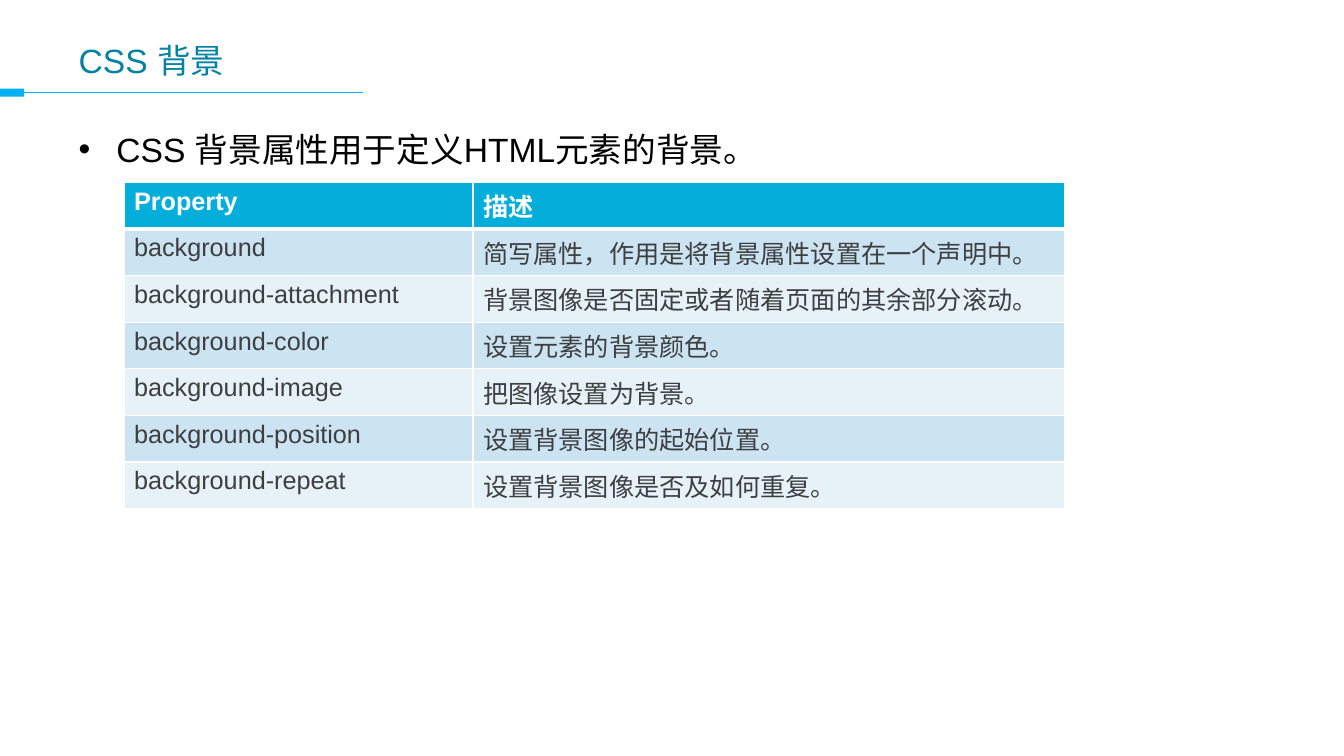
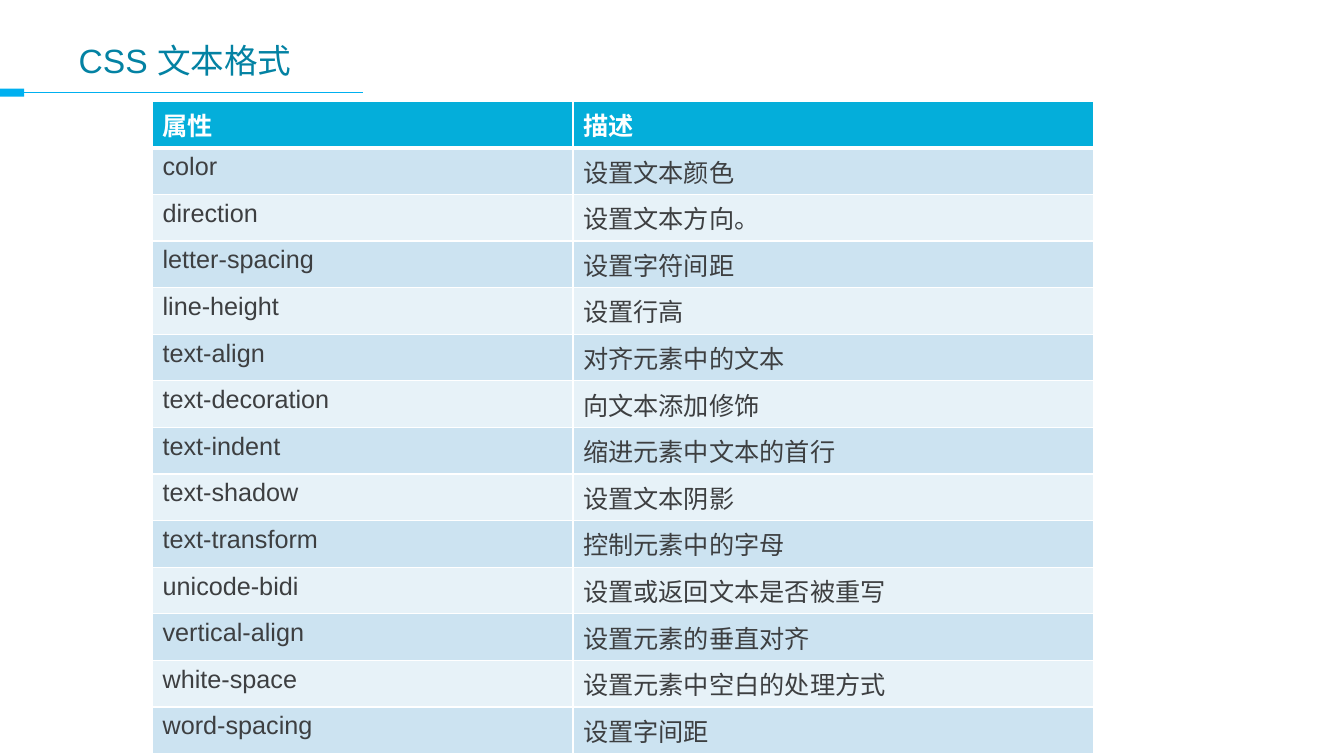
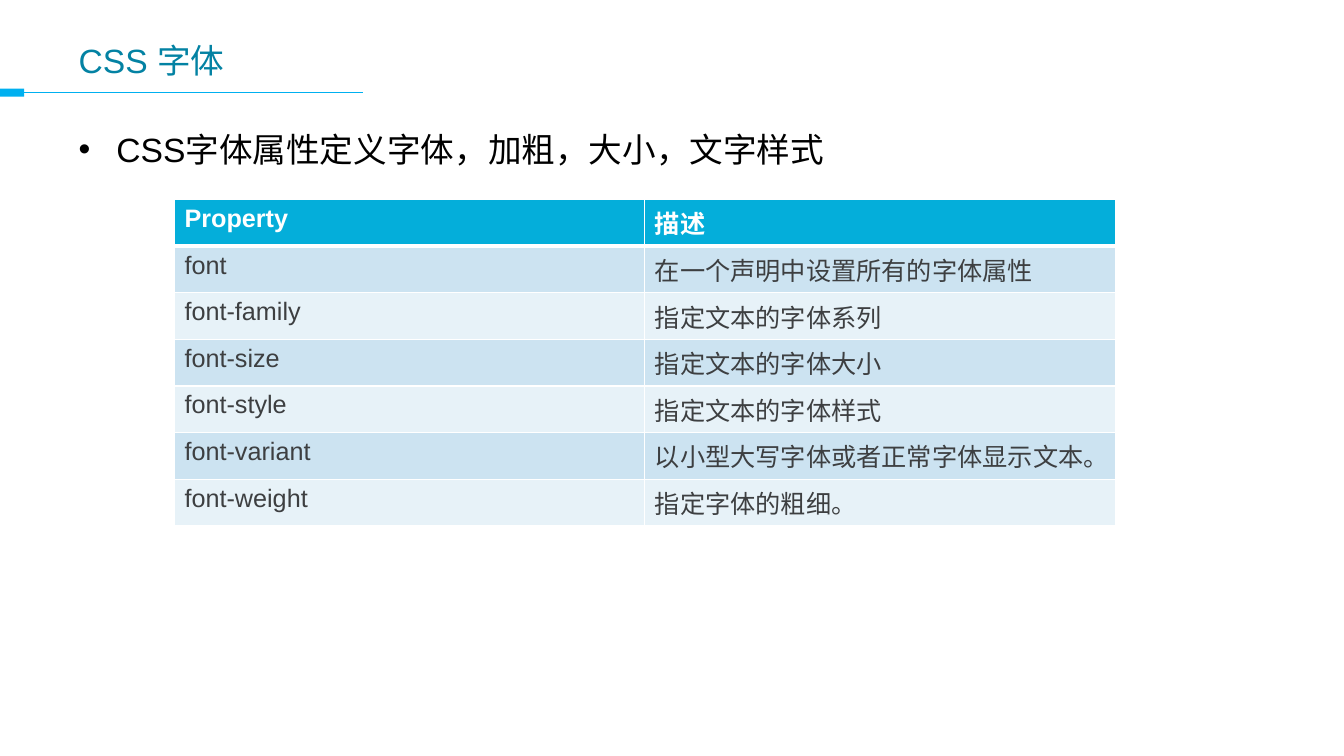
"""Build three slides on CSS background, text and font properties."""
from lxml import etree
from pptx import Presentation
from pptx.dml.color import RGBColor
from pptx.enum.shapes import MSO_CONNECTOR, MSO_SHAPE
from pptx.enum.text import MSO_ANCHOR, MSO_AUTO_SIZE, PP_ALIGN
from pptx.oxml.ns import qn
from pptx.util import Inches, Pt

LEFT = PP_ALIGN.LEFT
TOP, MID = MSO_ANCHOR.TOP, MSO_ANCHOR.MIDDLE
FIXED = MSO_AUTO_SIZE.NONE
RECT, LINE = MSO_SHAPE.RECTANGLE, MSO_CONNECTOR.STRAIGHT
FONT = "Arial"
TEAL, SKY, HEAD = "0382A3", "00B0F0", "04AEDA"
BANDS = ["E7F2F8", "CCE3F1"]
WHITE, BLACK, GREY = "FFFFFF", "000000", "3D3F41"
WIDE, HIGH = Inches(13.33), Inches(7.5)
ROW = 5.56
SPAN = 70


def rgb(code):
    return RGBColor.from_string(code)


def area(x, y, w, h):
    return [int(part * size / 100) for part, size in
            zip((x, y, w, h), (WIDE, HIGH, WIDE, HIGH))]


TITLE = area(5.1, 3.73, 90, 8.4)
BODY = area(5.1, 16.4, 90, 71.33)
BAR = area(0, 11.73, 1.8, 1.07)
TIP = int(WIDE * 0.27)

pages = [
    ("CSS 背景", "CSS 背景属性用于定义HTML元素的背景。", 9.23, 24.13, 37.1, [
        ("Property", "描述"),
        ("background", "简写属性，作用是将背景属性设置在一个声明中。"),
        ("background-attachment", "背景图像是否固定或者随着页面的其余部分滚动。"),
        ("background-color", "设置元素的背景颜色。"),
        ("background-image", "把图像设置为背景。"),
        ("background-position", "设置背景图像的起始位置。"),
        ("background-repeat", "设置背景图像是否及如何重复。"),
    ]),
    ("CSS 文本格式", None, 11.35, 13.4, 44.7, [
        ("属性", "描述"),
        ("color", "设置文本颜色"),
        ("direction", "设置文本方向。"),
        ("letter-spacing", "设置字符间距"),
        ("line-height", "设置行高"),
        ("text-align", "对齐元素中的文本"),
        ("text-decoration", "向文本添加修饰"),
        ("text-indent", "缩进元素中文本的首行"),
        ("text-shadow", "设置文本阴影"),
        ("text-transform", "控制元素中的字母"),
        ("unicode-bidi", "设置或返回文本是否被重写"),
        ("vertical-align", "设置元素的垂直对齐"),
        ("white-space", "设置元素中空白的处理方式"),
        ("word-spacing", "设置字间距"),
    ]),
    ("CSS 字体", "CSS字体属性定义字体，加粗，大小，文字样式", 12.98, 26.4, 50, [
        ("Property", "描述"),
        ("font", "在一个声明中设置所有的字体属性"),
        ("font-family", "指定文本的字体系列"),
        ("font-size", "指定文本的字体大小"),
        ("font-style", "指定文本的字体样式"),
        ("font-variant", "以小型大写字体或者正常字体显示文本。"),
        ("font-weight", "指定字体的粗细。"),
    ]),
]

deck = Presentation()
deck.slide_width, deck.slide_height = WIDE, HIGH

for title, point, x, y, split, rows in pages:
    slide = deck.slides.add_slide(deck.slide_layouts[1 if point else 5])
    shapes = slide.shapes

    bar = shapes.add_shape(RECT, *BAR)
    bar.shadow.inherit = False
    bar.fill.solid()
    bar.fill.fore_color.rgb = rgb(SKY)
    bar.line.fill.background()
    level = BAR[1] + BAR[3] // 2
    rule = shapes.add_connector(LINE, TIP, level, BAR[2], level)
    rule.end_connect(bar, 3)
    rule.line.color.rgb = rgb(SKY)
    rule.line.width = Pt(0.75)
    etree.SubElement(rule._element.spPr, qn("a:effectLst"))

    texts = [(shapes.title, title, TITLE, TEAL, MID, 0)]
    if point:
        texts.append((slide.placeholders[1], point, BODY, BLACK, TOP, 3))
    for box, words, spot, tint, anchor, gap in texts:
        box.left, box.top, box.width, box.height = spot
        frame = box.text_frame
        frame.auto_size = FIXED
        frame.vertical_anchor = anchor
        para = frame.paragraphs[0]
        para.alignment = LEFT
        para.space_before = para.space_after = Pt(gap)
        run = para.add_run()
        run.text = words
        run.font.name, run.font.size = FONT, Pt(24)
        run.font.color.rgb = rgb(tint)

    spot = area(x, y, SPAN, ROW * len(rows))
    table = shapes.add_table(len(rows), 2, *spot).table
    table.columns[0].width = int(spot[2] * split / 100)
    table.columns[1].width = spot[2] - table.columns[0].width
    for r, row in enumerate(rows):
        for c, words in enumerate(row):
            cell = table.cell(r, c)
            props = cell._tc.get_or_add_tcPr()
            edges = {"L": 1, "R": 1, "T": 3 if r == 1 else 1,
                     "B": 3 if r == 0 else 1}
            for side, size in edges.items():
                edge = etree.SubElement(props, qn("a:ln" + side), w=str(Pt(size)))
                fill = etree.SubElement(edge, qn("a:solidFill"))
                etree.SubElement(fill, qn("a:srgbClr"), val=WHITE)
            cell.fill.solid()
            cell.fill.fore_color.rgb = rgb(BANDS[r % 2] if r else HEAD)
            run = cell.text_frame.paragraphs[0].add_run()
            run.text = words
            run.font.name, run.font.size = FONT, Pt(18)
            run.font.bold = r == 0
            run.font.color.rgb = rgb(GREY if r else WHITE)

deck.save("out.pptx")
